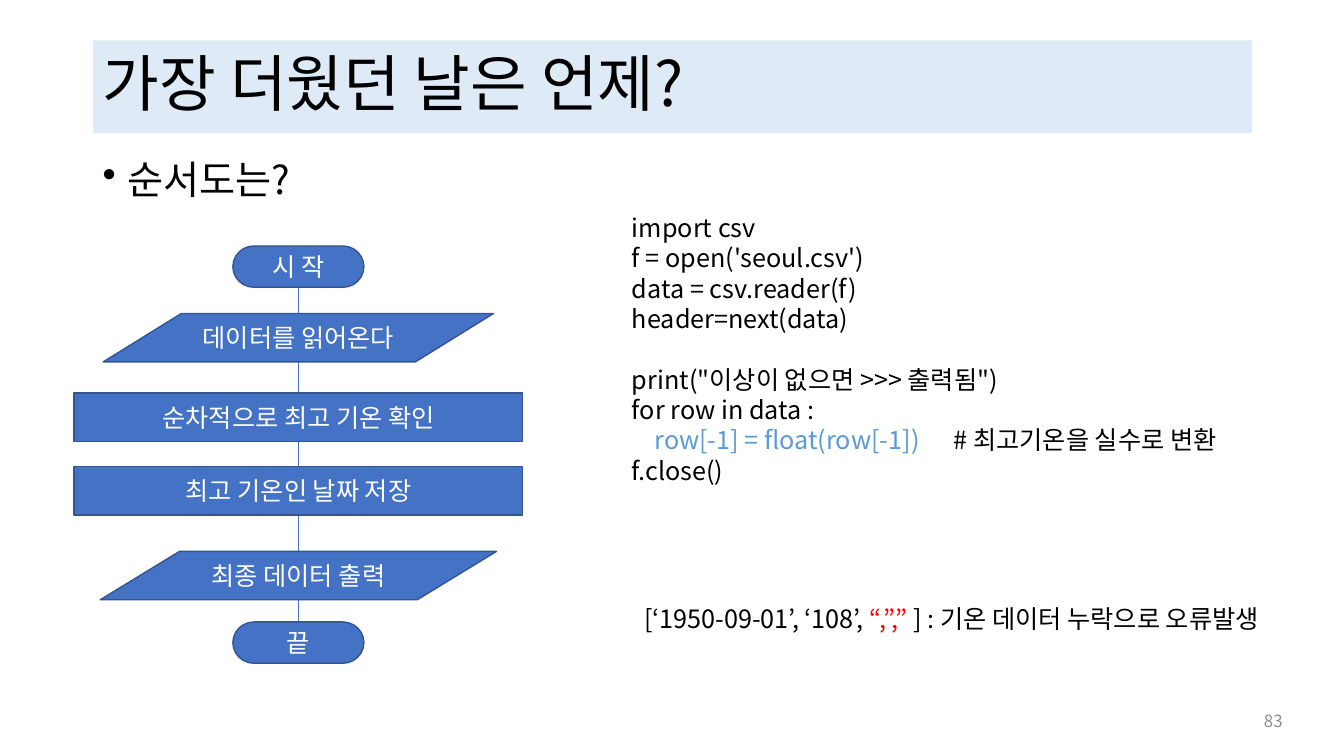
"""Builds a slide with a flowchart and the code for finding the hottest day."""
from lxml import etree
from pptx import Presentation
from pptx import util as u
from pptx.dml.color import RGBColor
from pptx.enum import shapes, text
from pptx.oxml.ns import qn

BLACK = RGBColor(0, 0, 0)
WHITE = RGBColor(255, 255, 255)
GRAY = RGBColor(0x8C, 0x8C, 0x8C)
RED = RGBColor(255, 0, 0)
PALE = RGBColor(0xDE, 0xEB, 0xF7)
BLUE = RGBColor(0x44, 0x72, 0xC4)
NAVY = RGBColor(0x32, 0x54, 0x91)
SKY = RGBColor(0x5B, 0x9B, 0xD5)

TERMINATOR = shapes.MSO_SHAPE.FLOWCHART_TERMINATOR
DATA = shapes.MSO_SHAPE.FLOWCHART_DATA
PROCESS = shapes.MSO_SHAPE.FLOWCHART_PROCESS
LEFT, CENTER, RIGHT = text.PP_ALIGN.LEFT, text.PP_ALIGN.CENTER, text.PP_ALIGN.RIGHT
TOP, MIDDLE = text.MSO_ANCHOR.TOP, text.MSO_ANCHOR.MIDDLE

AXIS = 2.96
STEPS = [
    (TERMINATOR, 2.44, 1.3, 0.41, "시 작"),
    (DATA, 3.11, 3.87, 0.48, "데이터를 읽어온다"),
    (PROCESS, 3.9, 4.45, 0.48, "순차적으로 최고 기온 확인"),
    (PROCESS, 4.63, 4.45, 0.48, "최고 기온인 날짜 저장"),
    (DATA, 5.47, 3.93, 0.48, "최종 데이터 출력"),
    (TERMINATOR, 6.17, 1.3, 0.41, "끝"),
]
CODE = [
    [("import csv", BLACK)],
    [("f = open('seoul.csv')", BLACK)],
    [("data = csv.reader(f)", BLACK)],
    [("header=next(data)", BLACK)],
    [("print(\"이상이 없으면 >>> 출력됨\")", BLACK)],
    [("for row in data :", BLACK)],
    [("    ", BLACK), ("row[-1] = float(row[-1])", SKY), ("\t# 최고기온을 실수로 변환", BLACK)],
    [("f.close()", BLACK)],
]
PRINT_LINE, COMMENT_LINE = 4, 6


class SlideBuilder:
    """Holds the font and the current slide."""

    font = "Noto Sans CJK KR"

    def __init__(self, deck):
        self.page = deck.slides.add_slide(deck.slide_layouts[5])

    def fill_text(self, frame, lines, size, align=LEFT, anchor=TOP):
        """Fills a text frame run by run."""
        frame.word_wrap = True
        frame.auto_size = text.MSO_AUTO_SIZE.NONE
        frame.vertical_anchor = anchor
        for index, spans in enumerate(lines):
            para = frame.paragraphs[0] if index == 0 else frame.add_paragraph()
            para.alignment = align
            for words, color in spans:
                span = para.add_run()
                span.text = words
                span.font.size = u.Pt(size)
                span.font.name = self.font
                span.font.color.rgb = color
                east = etree.SubElement(span.font._element, qn("a:ea"))
                east.set("typeface", self.font)
        return frame.paragraphs

    def title(self, words, left, top, width, height):
        """Places and formats the title placeholder."""
        box = self.page.shapes.title
        box.left, box.top = u.Inches(left), u.Inches(top)
        box.width, box.height = u.Inches(width), u.Inches(height)
        box.fill.solid()
        box.fill.fore_color.rgb = PALE
        paras = self.fill_text(box.text_frame, [[(words, BLACK)]], 44, anchor=MIDDLE)
        paras[0].line_spacing = 0.9

    def label(self, lines, left, top, width, height, size=18, **style):
        """Adds a text box and returns its paragraphs."""
        box = self.page.shapes.add_textbox(*map(u.Inches, (left, top, width, height)))
        return self.fill_text(box.text_frame, lines, size, **style)

    def step(self, kind, top, width, height, words):
        """Adds a flowchart step centred on the axis."""
        area = map(u.Inches, (AXIS - width / 2, top, width, height))
        box = self.page.shapes.add_shape(kind, *area)
        box.shadow.inherit = False
        box.fill.solid()
        box.fill.fore_color.rgb = BLUE
        box.line.color.rgb = NAVY
        box.line.width = u.Pt(1)
        self.fill_text(box.text_frame, [[(words, WHITE)]], 18, align=CENTER, anchor=MIDDLE)
        return box

    def flow_line(self):
        """Adds the line that runs behind the steps."""
        line = self.page.shapes.add_connector(shapes.MSO_CONNECTOR.STRAIGHT, 0, 0, 0, 0)
        line.line.color.rgb = BLUE
        line.line.width = u.Pt(0.5)
        etree.SubElement(line._element.spPr, qn("a:effectLst"))
        return line

    def bullet(self, para):
        """Gives a paragraph a hanging bullet."""
        props = para._p.get_or_add_pPr()
        props.set("marL", str(u.Inches(0.25)))
        props.set("indent", str(-u.Inches(0.25)))
        etree.SubElement(props, qn("a:buChar")).set("char", "•")
        para.line_spacing = 0.9

    def tab(self, para, position):
        """Gives a paragraph one left tab stop."""
        stops = etree.SubElement(para._p.get_or_add_pPr(), qn("a:tabLst"))
        stop = etree.SubElement(stops, qn("a:tab"))
        stop.set("pos", str(u.Inches(position)))
        stop.set("algn", "l")


def main():
    """Builds and saves the deck."""
    deck = Presentation()
    deck.slide_width, deck.slide_height = u.Inches(13.33), u.Inches(7.5)
    slide = SlideBuilder(deck)

    slide.title("가장 더웠던 날은 언제?", 0.92, 0.4, 11.5, 0.92)
    heading = slide.label([[("순서도는?", BLACK)]], 0.92, 1.54, 11.5, 0.6, size=28)
    slide.bullet(heading[0])

    line = slide.flow_line()
    steps = [slide.step(*step) for step in STEPS]
    line.begin_connect(steps[0], 2)
    line.end_connect(steps[-1], 0)

    code = slide.label(CODE, 6.17, 2.06, 6.7, 2.83)
    code[PRINT_LINE].space_before = u.Pt(22)
    slide.tab(code[COMMENT_LINE], 3.19)

    slide.label([[("[‘1950-09-01’, ‘108’, ", BLACK), ("“,”,” ", RED),
                  ("] : 기온 데이터 누락으로 오류발생", BLACK)]], 6.29, 5.94, 6.77, 0.4)
    slide.label([[("83", GRAY)]], 11.81, 6.95, 1.01, 0.4, size=12, align=RIGHT, anchor=MIDDLE)
    deck.save("out.pptx")


if __name__ == "__main__":
    main()
